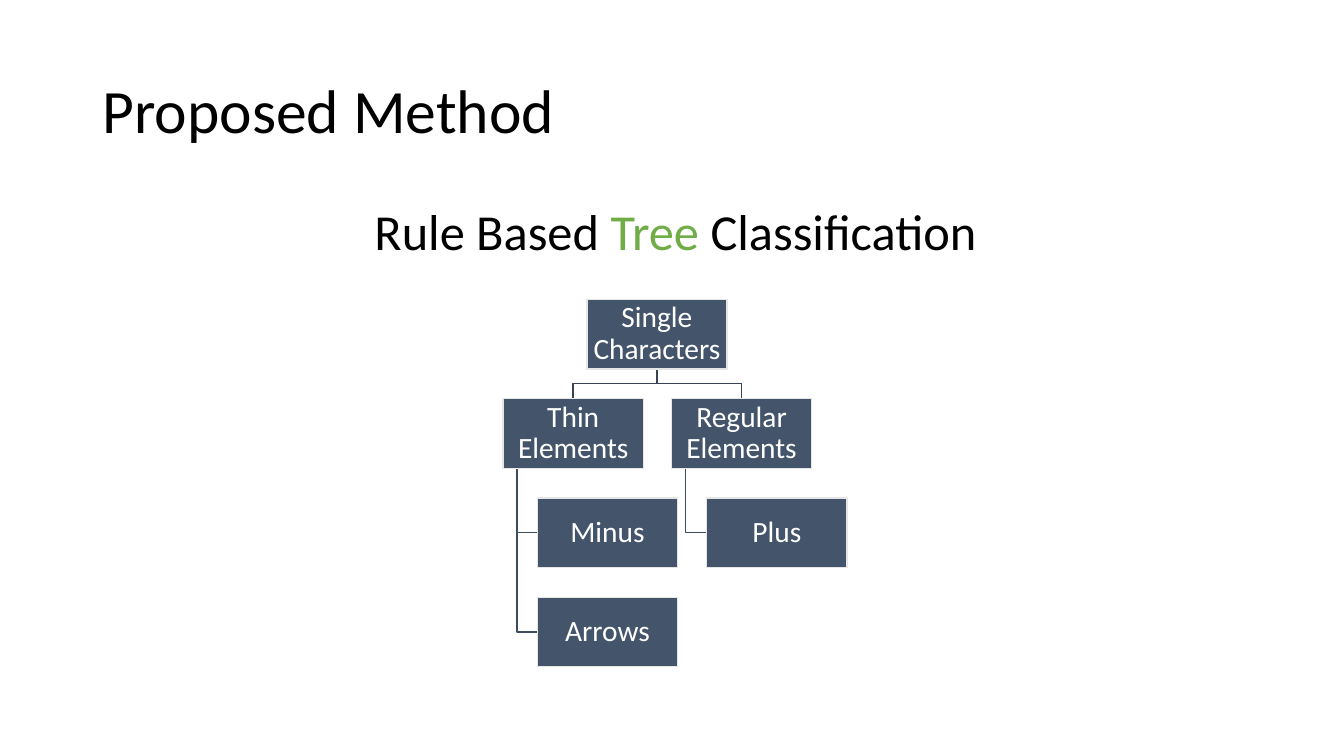
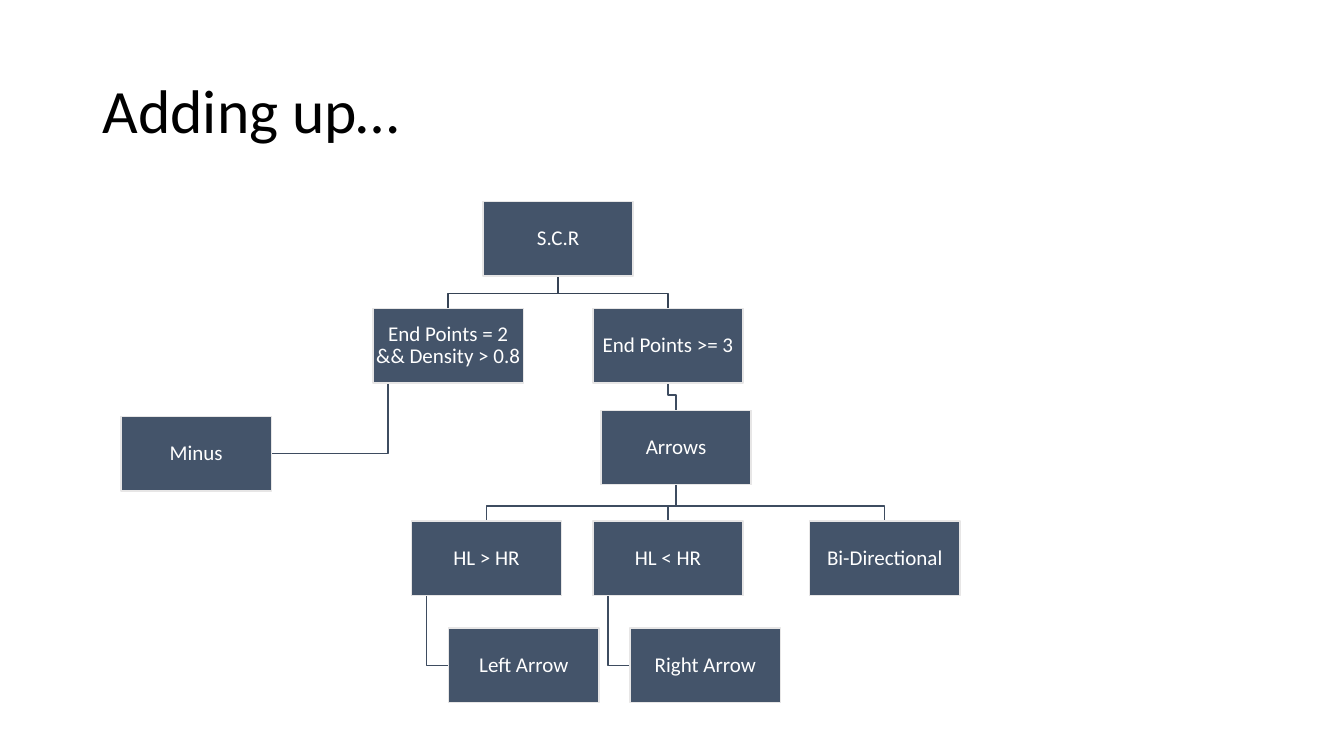
"""Build two slides that explain a rule based classification tree."""
from pptx import Presentation
from pptx.dml.color import RGBColor
from pptx.enum.shapes import MSO_SHAPE as Shape
from pptx.enum.text import MSO_ANCHOR as Anchor, PP_ALIGN as Align
from pptx.util import Inches, Pt

FONT = "Calibri"
COLORS = {
    "text": "000000",
    "accent": "70AD47",
    "node": "44546A",
    "border": "E7E6E6",
    "node_text": "FFFFFF",
    "fork": "364355",
    "branch": "3E4C60",
}
INSET = 0.01
BEND_GAP = 0.15
SPINE_SHARE = 0.1


def color(name):
    return RGBColor.from_string(COLORS[name])


def write_text(shape, runs, size, align=Align.LEFT, anchor=Anchor.TOP, inset=None):
    frame = shape.text_frame
    frame.word_wrap = True
    frame.vertical_anchor = anchor
    if inset is not None:
        frame.margin_left = frame.margin_right = Inches(inset)
        frame.margin_top = frame.margin_bottom = Inches(inset)
    paragraph = frame.paragraphs[0]
    paragraph.alignment = align
    paragraph.line_spacing = 0.9
    for text, color_name in runs:
        run = paragraph.add_run()
        run.text = text
        run.font.name = FONT
        run.font.size = Pt(size)
        run.font.color.rgb = color(color_name)


def add_text(slide, box, runs, **text_format):
    textbox = slide.shapes.add_textbox(*map(Inches, box))
    write_text(textbox, runs, **text_format)


def add_titled_slide(presentation, title):
    slide = presentation.slides.add_slide(presentation.slide_layouts[6])
    add_text(slide, (0.92, 0.4, 11.5, 1.45), [(title, "text")],
             size=44, anchor=Anchor.MIDDLE)
    return slide


def add_node(slide, text, place, node_size, text_size):
    shape = slide.shapes.add_shape(Shape.RECTANGLE, *map(Inches, place + node_size))
    shape.shadow.inherit = False
    shape.fill.solid()
    shape.fill.fore_color.rgb = color("node")
    shape.line.color.rgb = color("border")
    shape.line.width = Pt(1)
    write_text(shape, [(text, "node_text")], text_size,
               align=Align.CENTER, anchor=Anchor.MIDDLE, inset=INSET)


def add_polyline(slide, points, color_name):
    start, *others = [(Inches(x), Inches(y)) for x, y in points]
    builder = slide.shapes.build_freeform(*start)
    builder.add_line_segments(others, close=False)
    shape = builder.convert_to_shape()
    shape.shadow.inherit = False
    shape.fill.background()
    shape.line.color.rgb = color(color_name)
    shape.line.width = Pt(1)


def fork_points(parent, child, node_size):
    width, height = node_size
    start_x, end_x = parent[0] + width / 2, child[0] + width / 2
    bend = child[1] - BEND_GAP
    return [(start_x, parent[1] + height), (start_x, bend),
            (end_x, bend), (end_x, child[1])]


def side_points(parent, child, node_size):
    width, height = node_size
    spine = parent[0] + width * SPINE_SHARE
    middle = child[1] + height / 2
    edge = child[0] if child[0] > spine else child[0] + width
    return [(spine, parent[1] + height), (spine, middle), (edge, middle)]


def add_tree(slide, nodes, forks, sides, node_size, text_size):
    root = next(iter(nodes))
    for links, route in ((forks, fork_points), (sides, side_points)):
        for parent, child in links:
            add_polyline(slide, route(nodes[parent], nodes[child], node_size),
                         "fork" if parent == root else "branch")
    for text, place in nodes.items():
        add_node(slide, text, place, node_size, text_size)


def add_method_slide(presentation):
    slide = add_titled_slide(presentation, "Proposed Method")
    add_text(slide, (0.95, 2, 11.5, 0.7),
             [("Rule Based ", "text"), ("Tree", "accent"), (" Classification", "text")],
             size=36, align=Align.CENTER)
    rows = [2.97 + 0.985 * level for level in range(4)]
    nodes = {
        "Single Characters": (5.82, rows[0]),
        "Thin Elements": (4.99, rows[1]),
        "Minus": (5.33, rows[2]),
        "Arrows": (5.33, rows[3]),
        "Regular Elements": (6.66, rows[1]),
        "Plus": (7.01, rows[2]),
    }
    forks = [("Single Characters", "Thin Elements"),
             ("Single Characters", "Regular Elements")]
    sides = [("Thin Elements", "Minus"), ("Thin Elements", "Arrows"),
             ("Regular Elements", "Plus")]
    add_tree(slide, nodes, forks, sides, node_size=(1.39, 0.69), text_size=21)


def add_rules_slide(presentation):
    slide = add_titled_slide(presentation, "Adding up…")
    thin_rule = "End Points = 2 && Density > 0.8"
    nodes = {
        "S.C.R": (4.79, 2),
        thin_rule: (3.7, 3.06),
        "Minus": (1.2, 4.13),
        "End Points >= 3": (5.88, 3.06),
        "Arrows": (5.96, 4.07),
        "HL > HR": (4.08, 5.17),
        "Left Arrow": (4.45, 6.23),
        "HL < HR": (5.88, 5.17),
        "Right Arrow": (6.25, 6.23),
        "Bi-Directional": (8.03, 5.17),
    }
    forks = [("S.C.R", thin_rule), ("S.C.R", "End Points >= 3"),
             ("End Points >= 3", "Arrows"), ("Arrows", "HL > HR"),
             ("Arrows", "HL < HR"), ("Arrows", "Bi-Directional")]
    sides = [(thin_rule, "Minus"), ("HL > HR", "Left Arrow"),
             ("HL < HR", "Right Arrow")]
    add_tree(slide, nodes, forks, sides, node_size=(1.49, 0.74), text_size=15)


def main():
    presentation = Presentation()
    presentation.slide_width = Inches(13.33)
    presentation.slide_height = Inches(7.5)
    add_method_slide(presentation)
    add_rules_slide(presentation)
    presentation.save("out.pptx")


if __name__ == "__main__":
    main()
